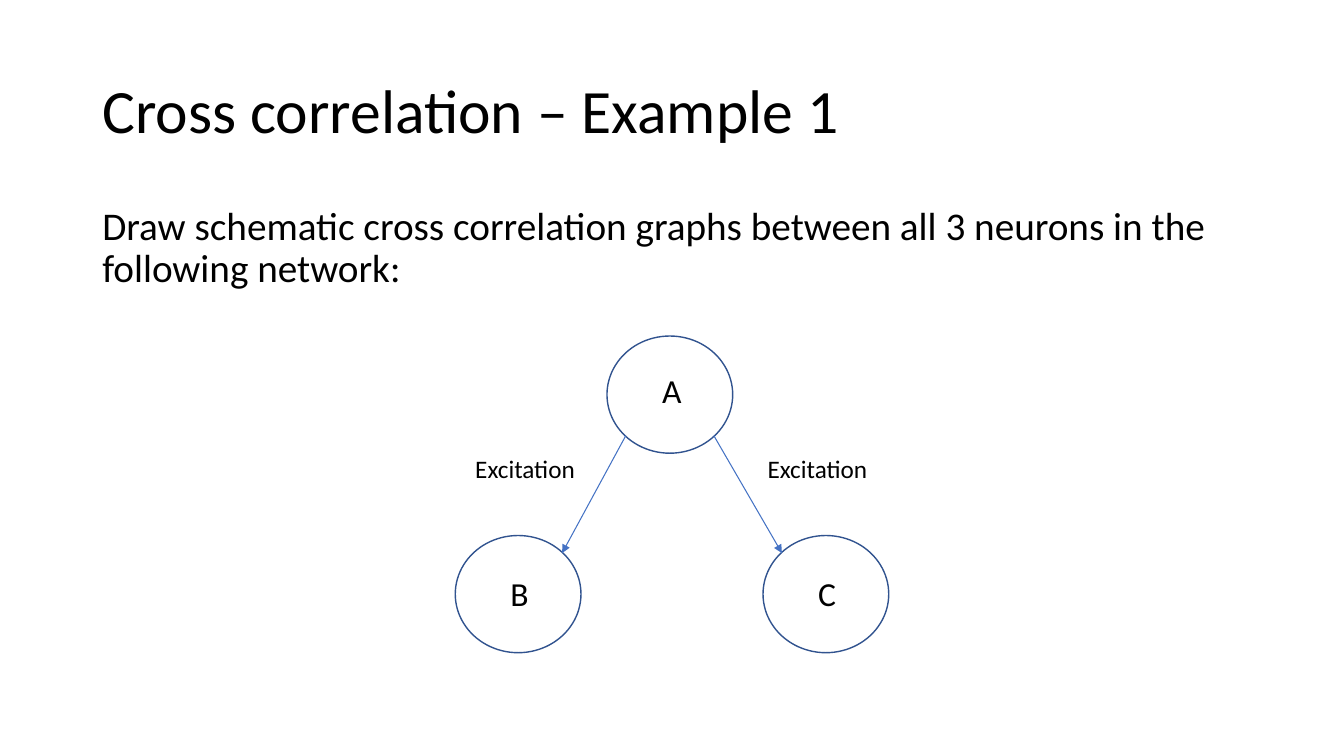
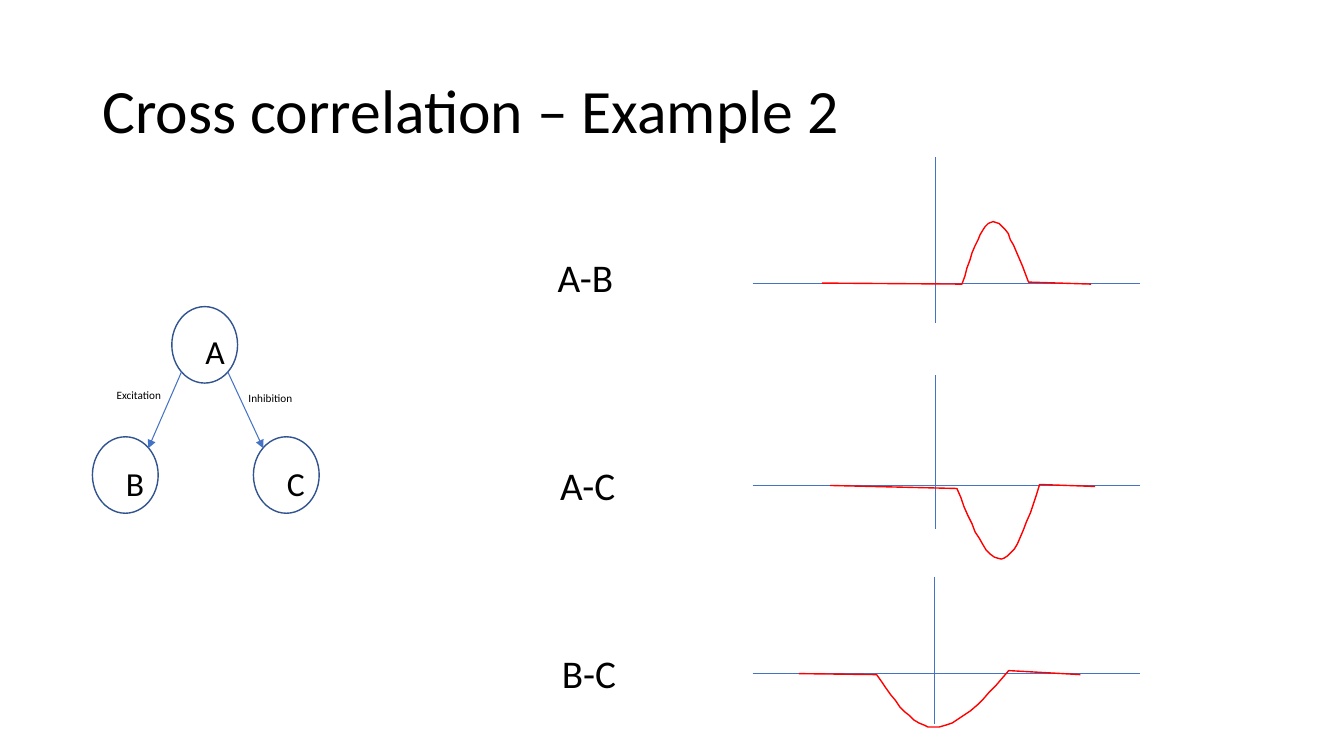
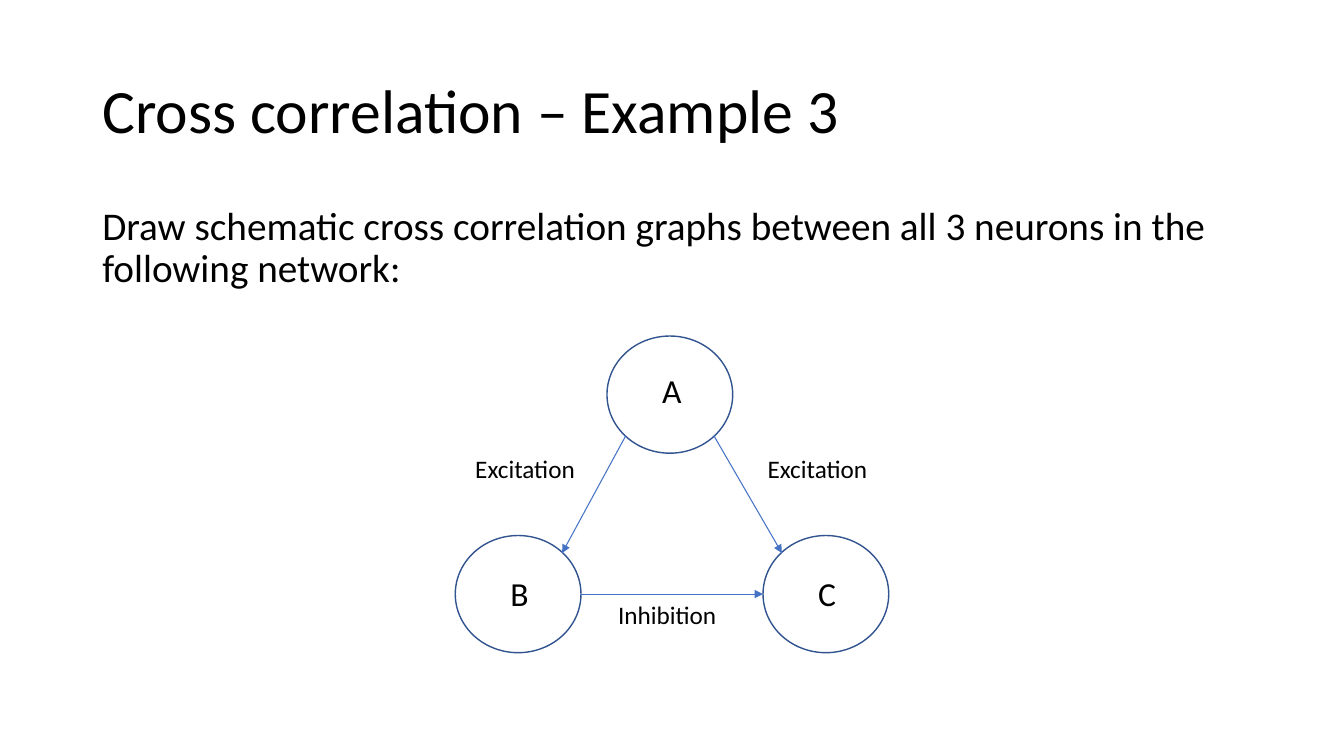
import math
import typing

import lxml.etree
import pptx
import pptx.util
import pptx.dml.color
import pptx.enum.shapes
import pptx.enum.text
import pptx.oxml.ns

BLACK = pptx.dml.color.RGBColor(0x00, 0x00, 0x00)
NAVY = pptx.dml.color.RGBColor(0x31, 0x53, 0x8F)
BLUE = pptx.dml.color.RGBColor(0x44, 0x72, 0xC4)
RED = pptx.dml.color.RGBColor(0xFF, 0x00, 0x00)
FONT = "Calibri"

WIDE = pptx.util.Inches(13.33)
HIGH = pptx.util.Inches(7.5)
COLS, ROWS = 160, 90
LEFT, SPAN = 11, 138
TASK = "Draw schematic cross correlation graphs between all 3 neurons in the following network:"


class Area(typing.NamedTuple):
    left: float
    top: float
    width: float
    height: float


class Label(typing.NamedTuple):
    text: str
    col: float
    row: float


class Bump(typing.NamedTuple):
    start: int
    rise: int
    peak: int
    fall: int
    end: int
    height: int
    before: int
    after: int


class Plot(typing.NamedTuple):
    label: Label
    zero: float
    base: float
    top: float
    bottom: float
    bump: Bump


LARGE = Area(left=54.2, top=40, width=51.6, height=37.7)
SMALL = Area(left=11, top=36.5, width=27, height=24.6)

DISC_WIDE, DISC_HIGH = 0.29, 0.37
SPOTS = {"A": (0.35, 0), "B": (0, 0.63), "C": (0.71, 0.63)}
INSETS = {"A": (0.36, 0.25), "B": (0.36, 0.28), "C": (0.36, 0.28)}

NEAR = round((1 - math.sqrt(0.5)) / 2, 2)
FAR = 1 - NEAR
CENTRE = (0, 0)
UPPER_LEFT, UPPER_RIGHT = (NEAR, NEAR), (FAR, NEAR)
LOWER_LEFT, LOWER_RIGHT = (NEAR, FAR), (FAR, FAR)
MID_LEFT, MID_RIGHT = (0, 0.5), (1, 0.5)
LINKS = {
    "AB": (LOWER_LEFT, UPPER_RIGHT),
    "AC": (LOWER_RIGHT, UPPER_LEFT),
    "BC": (MID_RIGHT, MID_LEFT),
}

FORK = {
    "AB": Label("Excitation", 55.4, 53.4),
    "AC": Label("Excitation", 90.2, 53.4),
}
RING = {**FORK, "BC": Label("Inhibition", 72.4, 70.8)}
MIXED = {
    "AB": Label("Excitation", 12.7, 45.6),
    "AC": Label("Inhibition", 28.4, 46),
}

AXIS_LEFT, AXIS_RIGHT = 89.6, 135.7
CURVE_UNIT = pptx.util.Inches(0.01)
STEPS = 12
PLOTS = [
    Plot(Label("A-B", 65.2, 29.6), zero=111.4, base=33.7, top=18.7, bottom=38.4,
         bump=Bump(start=-113, rise=26, peak=57, fall=92, end=154,
                   height=-61, before=1, after=-1)),
    Plot(Label("A-C", 65.5, 54.3), zero=111.4, base=57.8, top=44.6, bottom=63,
         bump=Bump(start=-105, rise=21, peak=65, fall=103, end=158,
                   height=73, before=3, after=-1)),
    Plot(Label("B-C", 65.7, 76.7), zero=111.2, base=80.2, top=68.7, bottom=86.2,
         bump=Bump(start=-134, rise=-57, peak=-1, fall=74, end=145,
                   height=53, before=1, after=-3)),
]


def across(col):
    return round(WIDE * col / COLS)


def down(row):
    return round(HIGH * row / ROWS)


def write(slide, text, col, row, width, height, size=18, space=1.0, middle=False):
    box = slide.shapes.add_textbox(across(col), down(row), across(width), down(height))
    frame = box.text_frame
    frame.word_wrap = True
    anchor = pptx.enum.text.MSO_ANCHOR
    frame.vertical_anchor = anchor.MIDDLE if middle else anchor.TOP
    para = frame.paragraphs[0]
    para.line_spacing = space
    run = para.add_run()
    run.text = text
    run.font.name = FONT
    run.font.size = pptx.util.Pt(size)
    run.font.color.rgb = BLACK


def outline(shape, color):
    shape.fill.background()
    shape.line.color.rgb = color
    shape.line.width = pptx.util.Pt(1)
    shape.shadow.inherit = False


def connect(slide, start, end, arrow=False):
    kind = pptx.enum.shapes.MSO_CONNECTOR.STRAIGHT
    line = slide.shapes.add_connector(
        kind, across(start[0]), down(start[1]), across(end[0]), down(end[1]))
    line.line.color.rgb = BLUE
    line.line.width = pptx.util.Pt(0.75)
    name = pptx.oxml.ns.qn
    props = line._element.spPr
    if arrow:
        tail = lxml.etree.SubElement(props.find(name("a:ln")), name("a:tailEnd"))
        tail.set("type", "triangle")
    lxml.etree.SubElement(props, name("a:effectLst"))


def network(slide, area, labels, size):
    wide, high = DISC_WIDE * area.width, DISC_HIGH * area.height

    def point(key, share):
        x, y = SPOTS[key]
        return (area.left + x * area.width + share[0] * wide,
                area.top + y * area.height + share[1] * high)

    for key in SPOTS:
        col, row = point(key, CENTRE)
        disc = slide.shapes.add_shape(
            pptx.enum.shapes.MSO_SHAPE.OVAL,
            across(col), down(row), across(wide), down(high))
        outline(disc, NAVY)
        write(slide, key, *point(key, INSETS[key]), 6, 6, size=24)
    for link, label in labels.items():
        source, target = link
        start, end = LINKS[link]
        connect(slide, point(source, start), point(target, end), arrow=True)
        write(slide, *label, 16, 4.8, size=size)


def slope(foot, peak, level, height):
    for step in range(STEPS + 1):
        share = step / STEPS
        lift = math.sin(share * math.pi / 2)
        yield foot + (peak - foot) * share, level + (height - level) * lift


def trace(bump):
    rise = list(slope(bump.rise, bump.peak, bump.before, bump.height))
    fall = list(slope(bump.fall, bump.peak, bump.after, bump.height))
    return [(bump.start, 0), *rise, *reversed(fall), (bump.end, 1)]


def graph(slide, plot):
    connect(slide, (AXIS_LEFT, plot.base), (AXIS_RIGHT, plot.base))
    connect(slide, (plot.zero, plot.bottom), (plot.zero, plot.top))
    write(slide, *plot.label, 12, 6.8, size=28)
    first, *rest = trace(plot.bump)
    pen = slide.shapes.build_freeform(*first, scale=CURVE_UNIT)
    pen.add_line_segments(rest, close=False)
    outline(pen.convert_to_shape(across(plot.zero), down(plot.base)), RED)


def page(deck, number, task=None):
    slide = deck.slides.add_slide(deck.slide_layouts[6])
    write(slide, f"Cross correlation – Example {number}", LEFT, 4.8, SPAN, 17.4,
          size=44, space=0.9, middle=True)
    if task:
        write(slide, task, LEFT, 24, SPAN, 57, size=28, space=0.9)
    return slide


def main():
    deck = pptx.Presentation()
    deck.slide_width, deck.slide_height = WIDE, HIGH

    network(page(deck, 1, TASK), LARGE, FORK, size=18)

    slide = page(deck, 2)
    network(slide, SMALL, MIXED, size=8)
    for plot in PLOTS:
        graph(slide, plot)

    network(page(deck, 3, TASK), LARGE, RING, size=18)

    deck.save("out.pptx")


if __name__ == "__main__":
    main()
